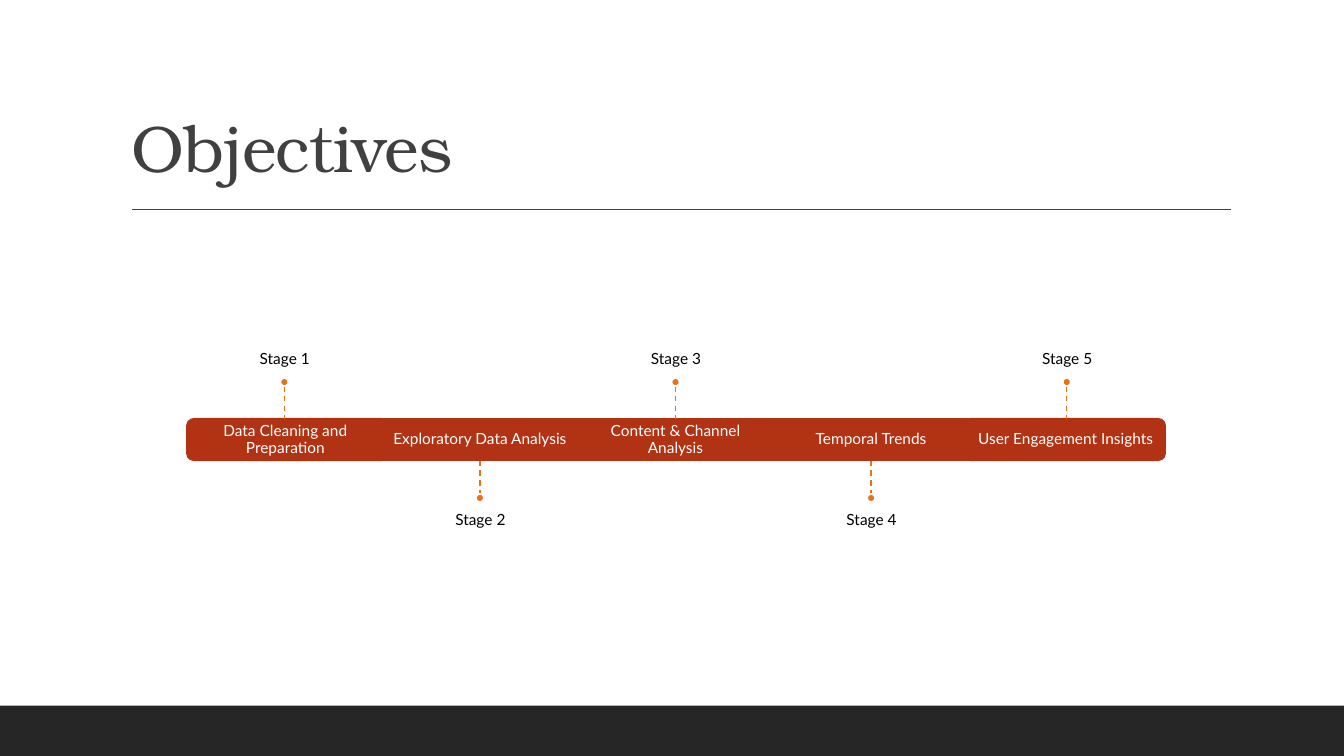
from dataclasses import dataclass

from lxml.etree import SubElement
from pptx import Presentation
from pptx.dml.color import RGBColor
from pptx.enum.dml import MSO_LINE
from pptx.enum.shapes import MSO_CONNECTOR, MSO_SHAPE
from pptx.enum.text import MSO_ANCHOR, MSO_AUTO_SIZE, PP_ALIGN
from pptx.oxml.ns import qn
from pptx.util import Pt

EMU_PER_PX = 9144  # 100 px to the inch
SLIDE_WIDTH, SLIDE_HEIGHT = 1333, 750


@dataclass(frozen=True)
class Theme:
    title_font: str = "TeX Gyre Bonum"
    body_font: str = "Lato"
    title_size: float = 47
    body_size: float = 11
    ink: str = "404040"
    footer: str = "262626"
    bar: str = "B23214"
    accent: str = "EC7016"
    white: str = "FFFFFF"
    black: str = "000000"


THEME = Theme()
STAGES = [
    "Data Cleaning and Preparation",
    "Exploratory Data Analysis",
    "Content & Channel Analysis",
    "Temporal Trends",
    "User Engagement Insights",
]


def px(*lengths):
    return [length * EMU_PER_PX for length in lengths]


def set_attributes(target, values):
    for name, value in values.items():
        setattr(target, name, value)


def write_text(shape, text, font, size, color, align, frame_format):
    frame = shape.text_frame
    set_attributes(frame, {"word_wrap": True, "auto_size": MSO_AUTO_SIZE.NONE, **frame_format})
    paragraph = frame.paragraphs[0]
    set_attributes(paragraph, {"alignment": align, "line_spacing": 0.9})
    run = paragraph.add_run()
    run.text = text
    set_attributes(run.font, {"name": font, "size": Pt(size), "bold": False})
    run.font.color.rgb = RGBColor.from_string(color)
    return run


def add_label(slide, box, text, color, anchor, margins):
    sides = ("margin_left", "margin_top", "margin_right", "margin_bottom")
    frame_format = {"vertical_anchor": anchor, **dict(zip(sides, px(*margins)))}
    label = slide.shapes.add_textbox(*px(*box))
    write_text(label, text, THEME.body_font, THEME.body_size, color, PP_ALIGN.CENTER, frame_format)


def add_filled(slide, kind, box, fill, line=None):
    shape = slide.shapes.add_shape(kind, *px(*box))
    shape.shadow.inherit = False
    shape.fill.solid()
    shape.fill.fore_color.rgb = RGBColor.from_string(fill)
    if line:
        shape.line.color.rgb = RGBColor.from_string(line)
        shape.line.width = Pt(1.25)
    else:
        shape.line.fill.background()
    return shape


def add_line(slide, start, end, color, dash=None):
    line = slide.shapes.add_connector(MSO_CONNECTOR.STRAIGHT, *px(*start, *end))
    line.line.color.rgb = RGBColor.from_string(color)
    set_attributes(line.line, {"width": Pt(1), "dash_style": dash})
    SubElement(line._element.spPr, qn("a:effectLst"))


def add_header(slide, box, text):
    left, top, width, height = box
    # Title
    title = slide.shapes.title
    set_attributes(title, dict(zip(("left", "top", "width", "height"), px(*box))))
    run = write_text(title, text, THEME.title_font, THEME.title_size, THEME.ink,
                     PP_ALIGN.LEFT, {"vertical_anchor": MSO_ANCHOR.BOTTOM})
    run.font._element.set("spc", "-50")
    # Rule under the title
    rule_y = top + height + 18
    add_line(slide, (left + 11, rule_y), (left + width + 1, rule_y), THEME.ink)


def add_stage(slide, box, number, text, is_first, is_last):
    left, top, width, height = box
    center, bottom = left + width // 2, top + height

    # Bar segment: the two ends are rounded on their outer side
    if is_first or is_last:
        upright = (center - height // 2, top + (height - width) // 2, height, width)
        segment = add_filled(slide, MSO_SHAPE.ROUND_2_SAME_RECTANGLE, upright, THEME.bar, THEME.bar)
        segment.rotation = 270 if is_first else 90
        text_box = (left + 2 * is_first, top + 2, width - 2, height - 4)
    else:
        add_filled(slide, MSO_SHAPE.RECTANGLE, box, THEME.bar, THEME.bar)
        text_box = box
    add_label(slide, text_box, text, THEME.white, MSO_ANCHOR.MIDDLE, (9, 9, 9, 9))

    # Caption, dashed stem and dot alternate above and below the bar
    gap, stem, dot = 42, 33, 8
    caption_width, caption_height = 323, 145
    if number % 2:
        caption_top, edge, tip = top - gap - caption_height, top, top - stem
        dot_top, anchor, margins = tip - dot, MSO_ANCHOR.BOTTOM, (0, 0, 0, 9)
    else:
        caption_top, edge, tip = bottom + gap, bottom, bottom + stem
        dot_top, anchor, margins = tip, MSO_ANCHOR.TOP, (0, 9, 0, 0)
    caption_box = (center - caption_width // 2, caption_top, caption_width, caption_height)
    add_label(slide, caption_box, f"Stage {number}", THEME.black, anchor, margins)
    add_line(slide, (center, min(edge, tip)), (center, max(edge, tip)), THEME.accent, MSO_LINE.DASH)
    add_filled(slide, MSO_SHAPE.OVAL, (center - dot // 2, dot_top, dot, dot), THEME.accent, THEME.white)


def add_timeline(slide, box, stages):
    left, top, width, height = box
    step = width // len(stages)
    for index, text in enumerate(stages):
        stage_box = (left + index * step, top, step, height)
        add_stage(slide, stage_box, index + 1, text, index == 0, index == len(stages) - 1)


def build_objectives(presentation):
    slide = presentation.slides.add_slide(presentation.slide_layouts[5])
    # Footer band
    add_filled(slide, MSO_SHAPE.RECTANGLE, (0, SLIDE_HEIGHT - 50, SLIDE_WIDTH, 50), THEME.footer)
    add_header(slide, (120, 31, 1100, 159), "Objectives")
    add_timeline(slide, (185, 416, 970, 41), STAGES)


def main():
    presentation = Presentation()
    presentation.slide_width, presentation.slide_height = px(SLIDE_WIDTH, SLIDE_HEIGHT)
    build_objectives(presentation)
    presentation.save("out.pptx")


if __name__ == "__main__":
    main()
